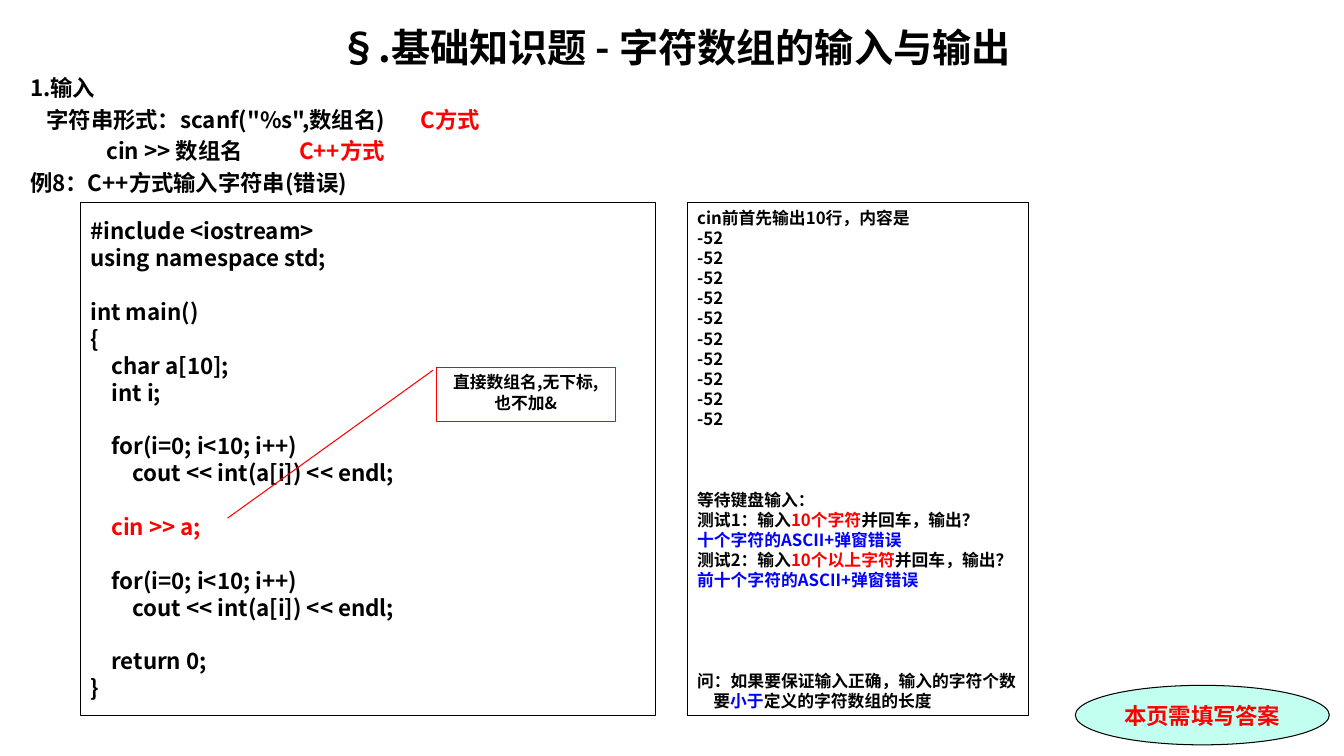
import pptx
import pptx.util
import pptx.dml.color
import pptx.enum.shapes
import pptx.enum.text
import pptx.oxml.ns
import lxml.etree

Cm, Pt = pptx.util.Cm, pptx.util.Pt
Shape = pptx.enum.shapes.MSO_SHAPE
Align = pptx.enum.text.PP_ALIGN
Anchor = pptx.enum.text.MSO_ANCHOR

COLORS = {"black": "000000", "red": "FF0000", "blue": "0000FF", "mint": "C2FFF0"}
FONT = "Noto Sans CJK SC"
LEADING = 1.2
INDENT = {16: 0.53, 12: 0.41}

# Each line: (blank lines before, indent level, [(text, color), ...])
TITLE = "§.基础知识题 - 字符数组的输入与输出"
INTRO = [
    (0, 0, [("1.输入", "black")]),
    (0.17, 0, [("\t字符串形式：scanf(\"%s\",数组名)\t", "black"), ("C方式", "red")]),
    (0.17, 0, [("\tcin >> 数组名\t", "black"), ("C++方式", "red")]),
    (0.17, 0, [("例8：C++方式输入字符串(错误)", "black")]),
]
INTRO_TABS = {1: (0.41, 9.85), 2: (1.92, 6.78)}
LOOP = [
    (1, 1, [("for(i=0; i<10; i++)", "black")]),
    (0, 2, [("cout << int(a[i]) << endl;", "black")]),
]
CODE = [
    (0, 0, [("#include <iostream>", "black")]),
    (0, 0, [("using namespace std;", "black")]),
    (1, 0, [("int main()", "black")]),
    (0, 0, [("{", "black")]),
    (0, 1, [("char a[10];", "black")]),
    (0, 1, [("int i;", "black")]),
    *LOOP,
    (1, 1, [("cin >> a;", "red")]),
    *LOOP,
    (1, 1, [("return 0;", "black")]),
    (0, 0, [("}", "black")]),
]
ANSWERS = [
    (0, 0, [("cin前首先输出10行，内容是", "black")]),
    *[(0, 0, [("-52", "black")])] * 10,
    (3, 0, [("等待键盘输入：", "black")]),
    (0, 0, [("测试1：输入", "black"), ("10个字符", "red"), ("并回车，输出？", "black")]),
    (0, 0, [("十个字符的ASCII+弹窗错误", "blue")]),
    (0, 0, [("测试2：输入", "black"), ("10个以上字符", "red"), ("并回车，输出？", "black")]),
    (0, 0, [("前十个字符的ASCII+弹窗错误", "blue")]),
    (4, 0, [("问：如果要保证输入正确，输入的字符个数", "black")]),
    (0, 1, [("要", "black"), ("小于", "blue"), ("定义的字符数组的长度", "black")]),
]
CALLOUT = [(0, 0, [("直接数组名,无下标,也不加&", "black")])]
REMINDER = [(0, 0, [("本页需填写答案", "red")])]


def rgb(name):
    return pptx.dml.color.RGBColor.from_string(COLORS[name])


def write(box, lines, size, align=Align.LEFT, anchor=Anchor.MIDDLE, wrap=True, font=FONT):
    frame = box.text_frame
    frame.word_wrap = wrap
    frame.auto_size = pptx.enum.text.MSO_AUTO_SIZE.NONE
    frame.vertical_anchor = anchor
    frame.margin_left = frame.margin_right = Cm(0.25)
    frame.margin_top = frame.margin_bottom = Cm(0.13)
    for number, (gap, level, pieces) in enumerate(lines):
        para = frame.add_paragraph() if number else frame.paragraphs[0]
        para.alignment = align
        para.line_spacing = Pt(size * LEADING)
        para.space_before = Pt(gap * size * LEADING)
        para.space_after = Pt(0)
        if level:
            para._p.get_or_add_pPr().set("marL", str(Cm(level * INDENT[size])))
        for text, color in pieces:
            span = para.add_run()
            span.text = text
            span.font.size = Pt(size)
            span.font.bold = True
            span.font.name = font
            span.font.color.rgb = rgb(color)
            east = lxml.etree.SubElement(span._r.rPr, pptx.oxml.ns.qn("a:ea"))
            east.set("typeface", FONT)


def set_tabs(para, stops):
    tab_list = lxml.etree.SubElement(para._p.get_or_add_pPr(), pptx.oxml.ns.qn("a:tabLst"))
    for stop in stops:
        tab = lxml.etree.SubElement(tab_list, pptx.oxml.ns.qn("a:tab"))
        tab.set("pos", str(Cm(stop)))
        tab.set("algn", "l")


def add_box(page, kind, left, top, width, height, line="black", fill=None):
    box = page.shapes.add_shape(kind, Cm(left), Cm(top), Cm(width), Cm(height))
    box.shadow.inherit = False
    box.line.color.rgb = rgb(line)
    box.line.width = Pt(0.75)
    if fill:
        box.fill.solid()
        box.fill.fore_color.rgb = rgb(fill)
    else:
        box.fill.background()
    return box


def main():
    deck = pptx.Presentation()
    deck.slide_width, deck.slide_height = Cm(33.87), Cm(19.05)
    page = deck.slides.add_slide(deck.slide_layouts[5])

    title = page.shapes.title
    title.left, title.top, title.width, title.height = Cm(0.51), Cm(0.46), Cm(33), Cm(1.45)
    write(title, [(0, 0, [(TITLE, "black")])], 28, Align.CENTER, Anchor.TOP)

    intro = page.shapes.add_textbox(Cm(0.51), Cm(1.75), Cm(33), Cm(3.3))
    write(intro, INTRO, 16, anchor=Anchor.TOP)
    for number, stops in INTRO_TABS.items():
        set_tabs(intro.text_frame.paragraphs[number], stops)

    reminder = add_box(page, Shape.OVAL, 27.1, 17.27, 6.4, 1.5, fill="mint")
    write(reminder, REMINDER, 16, Align.CENTER, font="Times New Roman")

    code = add_box(page, Shape.RECTANGLE, 2.03, 5.11, 14.48, 12.93)
    write(code, CODE, 16)

    answers = add_box(page, Shape.RECTANGLE, 17.32, 5.11, 8.61, 12.93)
    write(answers, ANSWERS, 12, wrap=False)

    callout = add_box(page, Shape.LINE_CALLOUT_1, 11, 9.25, 4.5, 1.37, line="red")
    for number, value in enumerate((0.06, -0.02, 2.78, -1.17)):
        callout.adjustments[number] = value
    write(callout, CALLOUT, 12, Align.CENTER, Anchor.TOP)

    deck.save("out.pptx")


if __name__ == "__main__":
    main()
